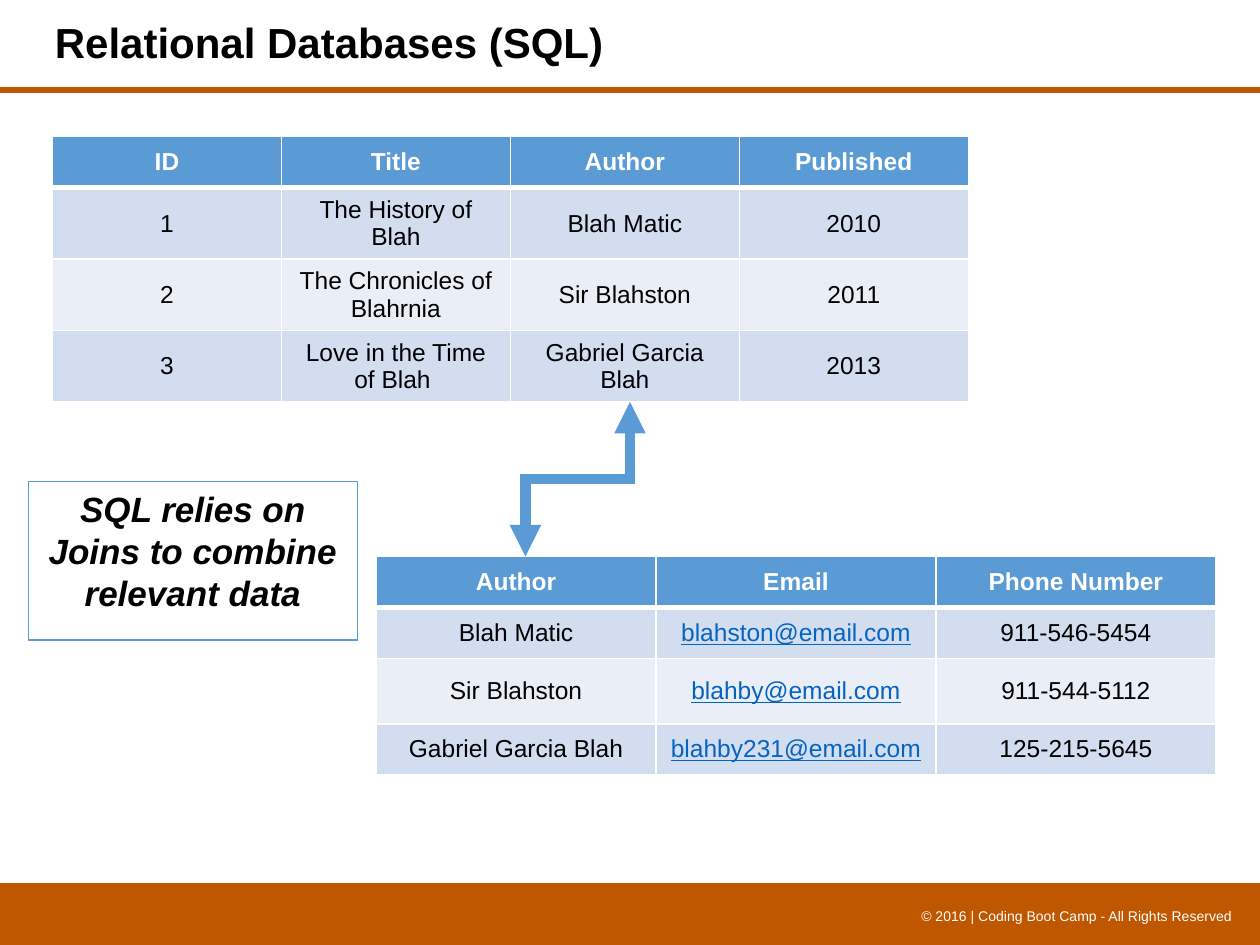
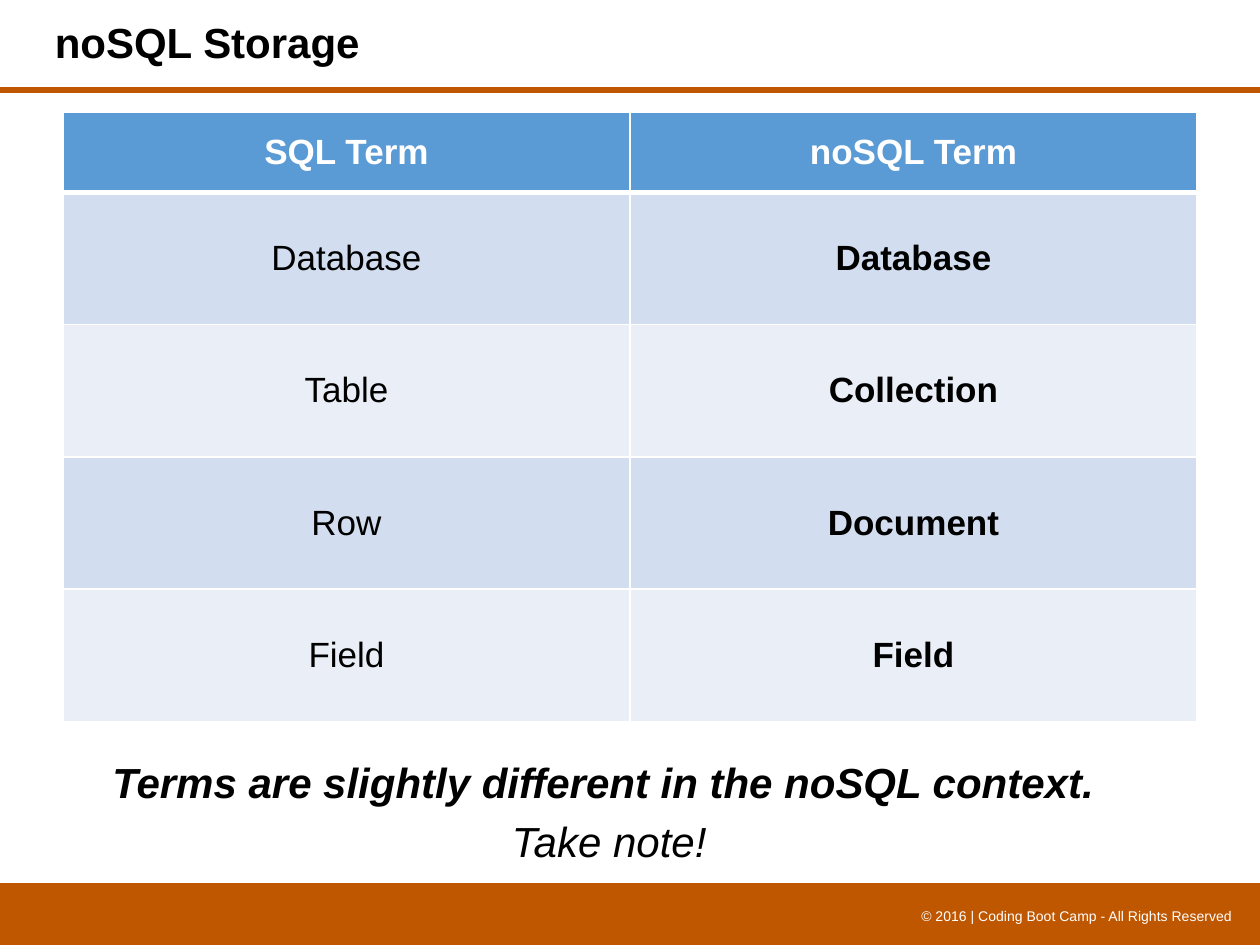
from dataclasses import dataclass
from typing import Optional

from lxml.etree import SubElement
from pptx import Presentation
from pptx.dml.color import RGBColor
from pptx.enum.shapes import MSO_CONNECTOR as Connector, MSO_SHAPE as Shape
from pptx.enum.text import MSO_ANCHOR as Anchor, MSO_AUTO_SIZE as AutoSize, PP_ALIGN as Align
from pptx.oxml import parse_xml
from pptx.oxml.ns import nsdecls, qn
from pptx.util import Inches, Pt

WIDTH, HEIGHT = Inches(10), Inches(7.5)
FONT = "Arial"
ORANGE, BLUE, LINK = "BF5700", "5B9BD5", "0563C1"
BANDS = ("D2DEEF", "EAEFF7")
BLACK, WHITE = "000000", "FFFFFF"
TITLE_LINE = 9.55
FOOTER_TOP = 93.47


@dataclass(frozen=True)
class Area:
    """A rectangle in percent of the slide's width and height."""
    left: float
    top: float
    width: float
    height: float

    def lengths(self) -> tuple:
        return across(self.left), down(self.top), across(self.width), down(self.height)


@dataclass(frozen=True)
class TextStyle:
    size: float
    color: str = BLACK
    bold: bool = False
    italic: bool = False
    underline: bool = False
    align: Align = Align.CENTER


@dataclass(frozen=True)
class Grid:
    """A table: equal columns, with row heights in percent of the slide's height."""
    left: float
    top: float
    column: float
    row_heights: tuple
    size: float
    rows: tuple
    bold_column: Optional[int] = None


def across(percent: float) -> int:
    return round(WIDTH * percent / 100)


def down(percent: float) -> int:
    return round(HEIGHT * percent / 100)


def rgb(code: str) -> RGBColor:
    return RGBColor.from_string(code)


def write(para, text: str, style: TextStyle) -> None:
    para.text = text
    para.alignment = style.align
    font = para.font
    font.name, font.size, font.color.rgb = FONT, Pt(style.size), rgb(style.color)
    font.bold, font.italic, font.underline = style.bold, style.italic, style.underline


def add_text(page, area: Area, *lines: tuple):
    """Add a wrapping text box from pairs of text and style."""
    box = page.shapes.add_textbox(*area.lengths())
    frame = box.text_frame
    frame.word_wrap = True
    for index, (text, style) in enumerate(lines):
        para = frame.add_paragraph() if index else frame.paragraphs[0]
        write(para, text, style)
        if index:
            para.space_before = Pt(style.size * 0.2)
    return box


def add_rect(page, shape: Shape, area: Area):
    box = page.shapes.add_shape(shape, *area.lengths())
    box.shadow.inherit = False
    return box


def add_line(page, kind: Connector, start: tuple, end: tuple, color: str, width: float):
    line = page.shapes.add_connector(kind, *start, *end)
    line.line.color.rgb = rgb(color)
    line.line.width = Pt(width)
    SubElement(line._element.spPr, qn("a:effectLst"))
    return line


def add_page(deck, title: str):
    """Add a slide with the shared title, rule and footer."""
    page = deck.slides.add_slide(deck.slide_layouts[5])
    band = add_rect(page, Shape.FLOWCHART_PROCESS, Area(0, FOOTER_TOP, 100, 100 - FOOTER_TOP))
    band.fill.solid()
    band.fill.fore_color.rgb = rgb(ORANGE)
    band.line.fill.background()
    add_line(page, Connector.STRAIGHT, (0, down(TITLE_LINE)), (WIDTH, down(TITLE_LINE)), ORANGE, 3.25)
    credit = add_text(page, Area(68.3, 95.4, 30.5, 3.2),
                      ("© 2016 | Coding Boot Camp - All Rights Reserved",
                       TextStyle(8, WHITE, align=Align.RIGHT)))
    credit.text_frame.auto_size = AutoSize.SHAPE_TO_FIT_TEXT

    heading = page.shapes.title
    heading.left, heading.top, heading.width, heading.height = Area(3.35, 0, 59.8, TITLE_LINE).lengths()
    frame = heading.text_frame
    frame.auto_size = AutoSize.NONE
    frame.vertical_anchor = Anchor.MIDDLE
    write(frame.paragraphs[0], title, TextStyle(24, bold=True, align=Align.LEFT))
    frame.paragraphs[0].line_spacing = 0.9
    return page


def set_borders(cell, top: float, bottom: float) -> None:
    """Give a cell white borders, one point wide at the sides."""
    properties = cell._tc.get_or_add_tcPr()
    for index, (side, width) in enumerate((("L", 1), ("R", 1), ("T", top), ("B", bottom))):
        properties.insert(index, parse_xml(
            f'<a:ln{side} {nsdecls("a")} w="{Pt(width)}"><a:solidFill>'
            f'<a:srgbClr val="{WHITE}"/></a:solidFill></a:ln{side}>'))


def cell_style(grid: Grid, row: int, column: int) -> TextStyle:
    if row == 0:
        return TextStyle(grid.size, WHITE, bold=True)
    if "@" in grid.rows[row][column]:
        return TextStyle(grid.size, LINK, underline=True)
    return TextStyle(grid.size, bold=column == grid.bold_column)


def add_grid(page, grid: Grid) -> None:
    columns = len(grid.rows[0])
    area = Area(grid.left, grid.top, grid.column * columns, sum(grid.row_heights))
    table = page.shapes.add_table(len(grid.rows), columns, *area.lengths()).table
    for row, texts in enumerate(grid.rows):
        table.rows[row].height = down(grid.row_heights[row])
        for column, text in enumerate(texts):
            cell = table.cell(row, column)
            cell.vertical_anchor = Anchor.MIDDLE
            cell.fill.solid()
            cell.fill.fore_color.rgb = rgb(BANDS[(row - 1) % 2] if row else BLUE)
            set_borders(cell, 3 if row == 1 else 1, 1 if row else 3)
            write(cell.text_frame.paragraphs[0], text, cell_style(grid, row, column))


def add_join_arrow(page, start: tuple, end: tuple) -> None:
    """Add a two-headed elbow that leaves and arrives vertically."""
    (x1, y1), (x2, y2) = start, end
    center_x, center_y = (x1 + x2) // 2, (y1 + y2) // 2
    half_length, half_breadth = abs(y2 - y1) // 2, abs(x2 - x1) // 2
    arrow = add_line(page, Connector.ELBOW,
                     (center_x - half_length, center_y - half_breadth),
                     (center_x + half_length, center_y + half_breadth), BLUE, 6)
    arrow._element.spPr.find(qn("a:xfrm")).set("rot", str(90 * 60000))
    stroke = arrow.line._get_or_add_ln()
    SubElement(stroke, qn("a:miter"), lim="800000")
    for end_tag in ("a:headEnd", "a:tailEnd"):
        SubElement(stroke, qn(end_tag), type="triangle")


BOOKS = Grid(4.17, 14.4, 18.17, (5.47,) * 4, 14, (
    ("ID", "Title", "Author", "Published"),
    ("1", "The History of Blah", "Blah Matic", "2010"),
    ("2", "The Chronicles of Blahrnia", "Sir Blahston", "2011"),
    ("3", "Love in the Time of Blah ", "Gabriel Garcia Blah", "2013"),
))
AUTHORS = Grid(29.85, 58.88, 22.22, (5.4, 5.4, 6.93, 5.4), 14, (
    ("Author", "Email", "Phone Number"),
    ("Blah Matic", "blahston@email.com", "911-546-5454"),
    ("Sir Blahston", "blahby@email.com", "911-544-5112"),
    ("Gabriel Garcia Blah", "blahby231@email.com", "125-215-5645"),
))
TERMS = Grid(5, 11.9, 45, (8.45, 14, 14, 14, 14), 20, (
    ("SQL Term", "noSQL Term"),
    ("Database", "Database"),
    ("Table", "Collection"),
    ("Row", "Document"),
    ("Field", "Field"),
), bold_column=1)


def build_relational(deck) -> None:
    page = add_page(deck, "Relational Databases (SQL)")
    add_grid(page, BOOKS)
    add_grid(page, AUTHORS)
    add_join_arrow(page, (across(50), down(42.53)), (across(41.7), down(AUTHORS.top)))
    note = add_rect(page, Shape.RECTANGLE, Area(2.25, 50.93, 26.1, 16.8))
    note.fill.background()
    note.line.color.rgb = rgb(BLUE)
    note.line.width = Pt(0.75)
    note.text_frame.word_wrap = True
    note.text_frame.vertical_anchor = Anchor.TOP
    write(note.text_frame.paragraphs[0], "SQL relies on Joins to combine relevant data",
          TextStyle(20, bold=True, italic=True))


def build_storage(deck) -> None:
    page = add_page(deck, "noSQL Storage")
    add_grid(page, TERMS)
    add_text(page, Area(3.35, 79.4, 90, 13.33),
             ("Terms are slightly different in the noSQL context. ", TextStyle(24, bold=True, italic=True)),
             ("Take note!", TextStyle(24, italic=True)))


def main() -> None:
    deck = Presentation()
    deck.slide_width, deck.slide_height = WIDTH, HEIGHT
    build_relational(deck)
    build_storage(deck)
    deck.save("out.pptx")


if __name__ == "__main__":
    main()
